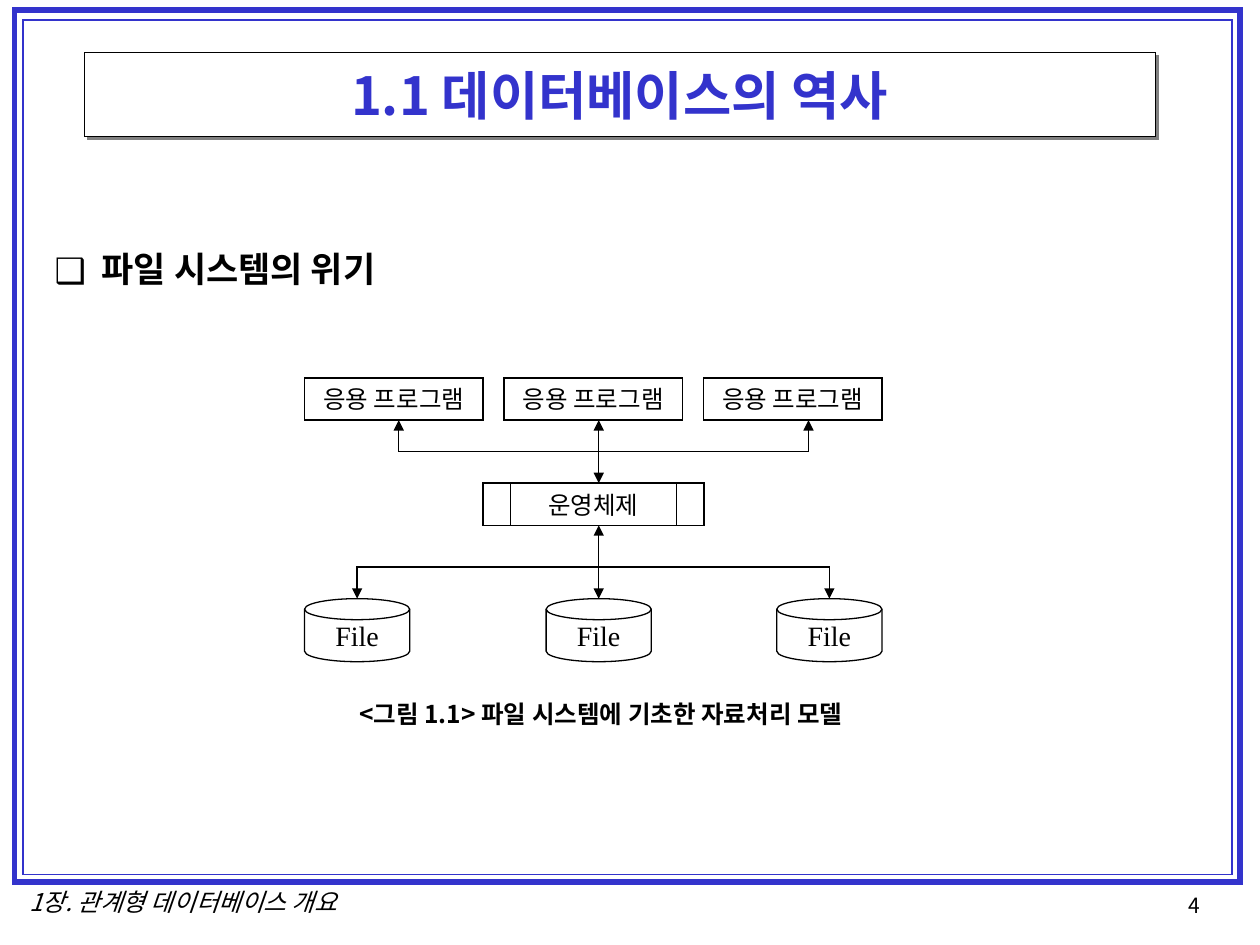
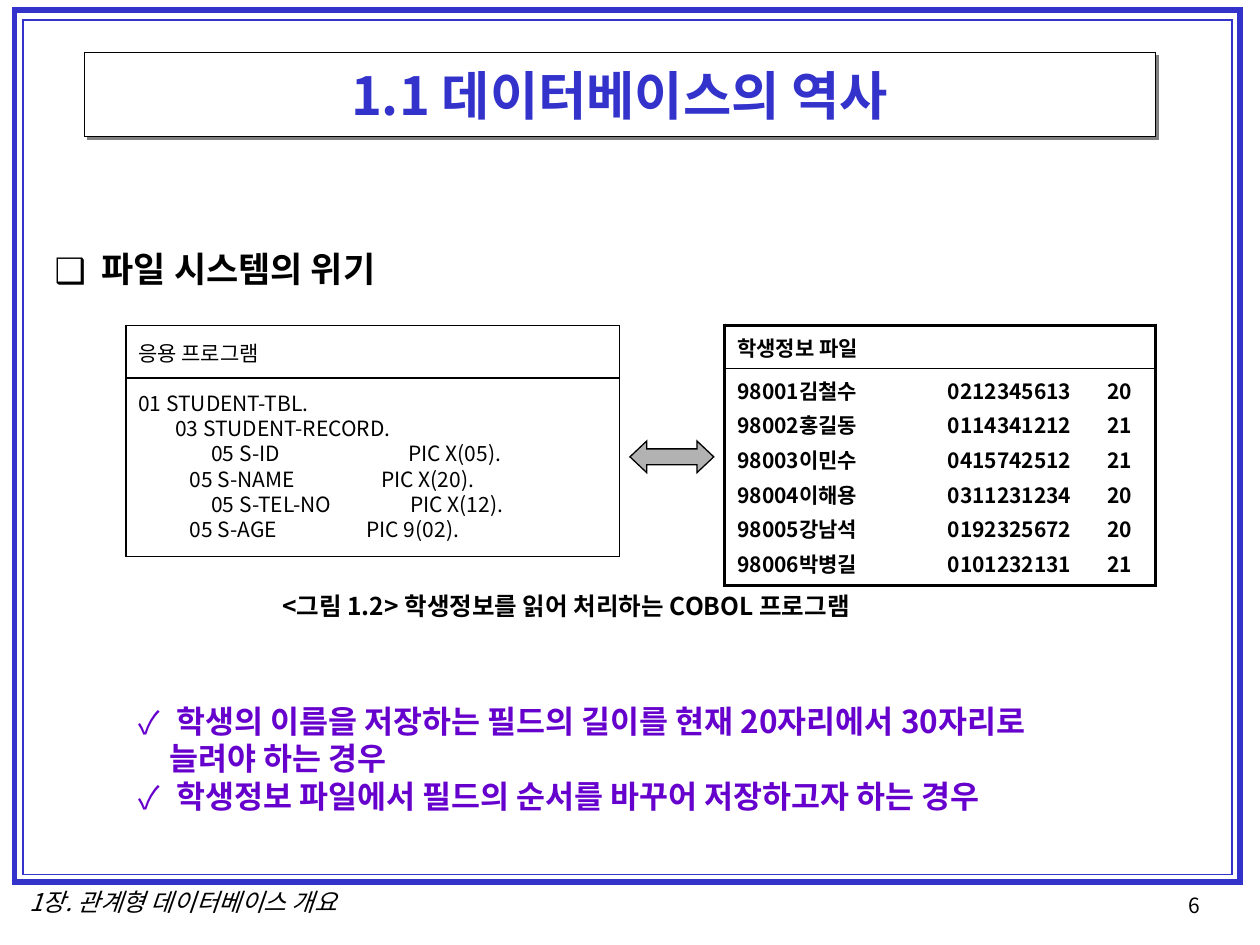
from dataclasses import dataclass

from lxml import etree
from pptx import Presentation
from pptx.dml.color import RGBColor
from pptx.enum import shapes, text
from pptx.oxml import ns
from pptx.util import Cm, Pt

BLACK = RGBColor(0x00, 0x00, 0x00)
WHITE = RGBColor(0xFF, 0xFF, 0xFF)
BLUE = RGBColor(0x33, 0x33, 0xCC)
VIOLET = RGBColor(0x66, 0x00, 0xCC)
GRAY = RGBColor(0xB2, 0xB2, 0xB2)
SHADOW = RGBColor(0x80, 0x80, 0x80)
SANS = "Noto Sans CJK KR"
SERIF = "Times New Roman"
LEFT, CENTER = text.PP_ALIGN.LEFT, text.PP_ALIGN.CENTER
MIDDLE = text.MSO_ANCHOR.MIDDLE
SHAPE = shapes.MSO_SHAPE


@dataclass(frozen=True)
class Box:
    x: float
    y: float
    w: float
    h: float

    def emu(self) -> tuple:
        return Cm(self.x), Cm(self.y), Cm(self.w), Cm(self.h)


@dataclass(frozen=True)
class CodeLine:
    words: str
    stops: tuple = ()


FRAMES = [(Box(0.3, 0.2, 24.7, 17.58), 3), (Box(0.46, 0.41, 24.38, 17.22), 1)]
TITLE = Box(1.7, 1.06, 21.59, 1.69)
BODY = Box(0.85, 4.87, 23.71, 12.27)
FOOTER = Box(0, 17.75, 7.39, 0.84)
PAGE = Box(23.7, 17.86, 1.12, 0.76)

APP_X, APP_STEP, APP_Y, APP_W, APP_H = 6.14, 4.02, 7.62, 3.6, 0.85
APP_BOTTOM = APP_Y + APP_H
OS = Box(9.74, 9.74, 4.45, 0.85)
DISK_XS, DISK_Y = (6.14, 11.01, 15.66), 12.07
MID_X = 12.07

CODE_BOX = Box(2.54, 6.56, 9.95, 4.66)
CODE = [
    CodeLine("01 STUDENT-TBL."),
    CodeLine("\t03 STUDENT-RECORD.", (0.74,)),
    CodeLine("\t05 S-ID\tPIC X(05).", (1.47, 5.44)),
    CodeLine("\t05 S-NAME\tPIC X(20).", (1.03, 4.9)),
    CodeLine("\t05 S-TEL-NO\tPIC X(12).", (1.47, 5.48)),
    CodeLine("\t05 S-AGE\tPIC 9(02).", (1.03, 4.6)),
]
STUDENTS = [
    ("98001김철수", "0212345613", "20"),
    ("98002홍길동", "0114341212", "21"),
    ("98003이민수", "0415742512", "21"),
    ("98004이해용", "0311231234", "20"),
    ("98005강남석", "0192325672", "20"),
    ("98006박병길", "0101232131", "21"),
]
CASES = [
    " 학생의 이름을 저장하는 필드의 길이를 현재 20자리에서 30자리로 늘려야 하는 경우",
    " 학생정보 파일에서 필드의 순서를 바꾸어 저장하고자 하는 경우",
]


def add_xml(parent, tag: str, **attrs):
    return etree.SubElement(parent, ns.qn(tag), {k: str(v) for k, v in attrs.items()})


def write(tf, words: str, size=14, font=SANS, color=BLACK, bold=False, italic=False,
          align=LEFT, leading=1.2, before=0, bullet="", indent=0, stops=()):
    p = tf.paragraphs[0] if not tf.text else tf.add_paragraph()
    p.alignment = align
    p.space_before = Pt(before)
    if leading:
        p.line_spacing = Pt(round(size * leading, 1))
    pPr = p._p.get_or_add_pPr()
    if bullet:
        pPr.set("marL", str(Cm(indent)))
        pPr.set("indent", str(-Cm(indent)))
        add_xml(pPr, "a:buFont", typeface=SANS)
        add_xml(pPr, "a:buChar", char=bullet)
    if stops:
        tabs = add_xml(pPr, "a:tabLst")
        for stop in stops:
            add_xml(tabs, "a:tab", pos=Cm(stop), algn="l")
    r = p.add_run()
    r.text = words
    r.font.name, r.font.size = font, Pt(size)
    r.font.bold, r.font.italic = bold, italic
    r.font.color.rgb = color
    add_xml(r._r.get_or_add_rPr(), "a:ea", typeface=SANS)


def add_text(s, box: Box, words: str, **fmt):
    tf = s.shapes.add_textbox(*box.emu()).text_frame
    tf.word_wrap = True
    write(tf, words, **fmt)
    return tf


def outline(sp, color=BLACK, width=0.75):
    sp.line.color.rgb = color
    sp.line.width = Pt(width)
    add_xml(sp.line._get_or_add_ln(), "a:miter", lim=800000)


def add_box(s, kind, box: Box, fill=None, color=BLACK, width=0.75):
    sp = s.shapes.add_shape(kind, *box.emu())
    sp.shadow.inherit = False
    if fill is None:
        sp.fill.background()
    else:
        sp.fill.solid()
        sp.fill.fore_color.rgb = fill
    outline(sp, color, width)
    sp.text_frame.word_wrap = True
    sp.text_frame.vertical_anchor = MIDDLE
    return sp


def add_label(s, kind, box: Box, words: str, fill=None, **fmt):
    sp = add_box(s, kind, box, fill)
    write(sp.text_frame, words, align=CENTER, **fmt)
    return sp


def add_arrowheads(sp):
    ln = sp.line._get_or_add_ln()
    for end in ("a:headEnd", "a:tailEnd"):
        add_xml(ln, end, type="triangle")


def add_line(s, x1, y1, x2, y2, arrows=False):
    cn = s.shapes.add_connector(shapes.MSO_CONNECTOR.STRAIGHT, Cm(x1), Cm(y1), Cm(x2), Cm(y2))
    outline(cn)
    if arrows:
        add_arrowheads(cn)
    add_xml(cn._element.spPr, "a:effectLst")


def add_bracket(s, x1, x2, y_tip, y_bar):
    builder = s.shapes.build_freeform(Cm(x1), Cm(y_tip))
    builder.add_line_segments(
        [(Cm(x1), Cm(y_bar)), (Cm(x2), Cm(y_bar)), (Cm(x2), Cm(y_tip))], close=False)
    sp = builder.convert_to_shape()
    sp.shadow.inherit = False
    sp.fill.background()
    outline(sp)
    add_arrowheads(sp)


def add_base(prs, page: str):
    s = prs.slides.add_slide(prs.slide_layouts[6])
    add_text(s, PAGE, page, size=12)
    add_text(s, FOOTER, "1장. 관계형 데이터베이스 개요", italic=True, align=CENTER)
    for box, width in FRAMES:
        add_box(s, SHAPE.RECTANGLE, box, color=BLUE, width=width)
    sp = add_label(s, SHAPE.RECTANGLE, TITLE, "1.1 데이터베이스의 역사", WHITE,
                   size=30, color=BLUE, bold=True)
    effects = sp._element.spPr.find(ns.qn("a:effectLst"))
    shadow = add_xml(effects, "a:outerShdw", dist=Pt(2.8), dir=45 * 60000,
                     algn="ctr", rotWithShape=0)
    add_xml(shadow, "a:srgbClr", val=SHADOW)
    add_text(s, BODY, "파일 시스템의 위기", size=20, bold=True, before=4,
             bullet="❑", indent=0.95)
    return s


def set_borders(cell, **widths):
    tcPr = cell._tc.get_or_add_tcPr()
    for i, side in enumerate("LRTB"):
        width = widths.get(side, 0)
        ln = etree.Element(ns.qn(f"a:ln{side}"), w=str(Pt(width)))
        if width:
            add_xml(add_xml(ln, "a:solidFill"), "a:srgbClr", val=BLACK)
        else:
            add_xml(ln, "a:noFill")
        tcPr.insert(i, ln)


def add_student_table(s):
    cols, rows = (4.24, 3.22, 1.22), (0.87, 4.37)
    box = Box(14.61, 6.56, sum(cols), sum(rows))
    tbl = s.shapes.add_table(len(rows), len(cols), *box.emu()).table
    tbl.first_row = tbl.horz_banding = False
    for col, width in zip(tbl.columns, cols):
        col.width = Cm(width)
    for row, height in zip(tbl.rows, rows):
        row.height = Cm(height)
    last = len(cols) - 1
    tbl.cell(0, 0).merge(tbl.cell(0, last))
    for i in range(len(rows)):
        for j in range(len(cols)):
            cell = tbl.cell(i, j)
            cell.fill.background()
            at_right = j == last or cell.is_merge_origin
            set_borders(cell, L=0 if j else 2.25, R=2.25 if at_right else 0,
                        T=1 if i else 2.25, B=2.25 if i else 1)
    fmt = dict(size=12, bold=True, leading=None, before=2.4)
    write(tbl.cell(0, 0).text_frame, "학생정보 파일", **fmt)
    for student in STUDENTS:
        for j, value in enumerate(student):
            write(tbl.cell(1, j).text_frame, value, **fmt)


def build_model_slide(prs):
    s = add_base(prs, "4")
    for i in range(3):
        add_label(s, SHAPE.RECTANGLE, Box(APP_X + i * APP_STEP, APP_Y, APP_W, APP_H),
                  "응용 프로그램", WHITE, font=SERIF)
    add_label(s, SHAPE.FLOWCHART_PREDEFINED_PROCESS, OS, "운영체제", font=SERIF)
    for x in DISK_XS:
        add_label(s, SHAPE.FLOWCHART_MAGNETIC_DISK, Box(x, DISK_Y, 2.12, 1.27),
                  "File", size=16, font=SERIF)
    add_bracket(s, 8.04, 16.3, APP_BOTTOM, 9.1)
    add_bracket(s, 7.2, 16.72, DISK_Y, 11.43)
    add_line(s, MID_X, OS.y + OS.h, MID_X, DISK_Y, arrows=True)
    add_line(s, MID_X, APP_BOTTOM, MID_X, OS.y, arrows=True)
    add_text(s, Box(6.99, 13.97, 11.1, 0.84),
             "<그림 1.1> 파일 시스템에 기초한 자료처리 모델", bold=True)


def build_cobol_slide(prs):
    s = add_base(prs, "6")
    tf = add_box(s, SHAPE.RECTANGLE, CODE_BOX).text_frame
    write(tf, "응용 프로그램", size=12)
    for i, line in enumerate(CODE):
        write(tf, line.words, size=12, stops=line.stops, before=0 if i else 14.4)
    add_line(s, CODE_BOX.x, 7.62, CODE_BOX.x + CODE_BOX.w, 7.62)
    add_student_table(s)
    arrow = add_box(s, SHAPE.LEFT_RIGHT_ARROW, Box(12.7, 8.89, 1.69, 0.64), GRAY)
    arrow.adjustments[0], arrow.adjustments[1] = 0.5, 0.53
    add_text(s, Box(5.44, 11.79, 12.75, 0.84),
             "<그림 1.2> 학생정보를 읽어 처리하는 COBOL 프로그램", bold=True)
    fmt = dict(size=18, color=VIOLET, bold=True, bullet="✓", indent=0.62)
    tf = add_text(s, Box(2.54, 14.02, 20.11, 3.12), CASES[0], **fmt)
    write(tf, CASES[1], **fmt)


def main():
    prs = Presentation()
    prs.slide_width, prs.slide_height = Cm(25.4), Cm(19.05)
    build_model_slide(prs)
    build_cobol_slide(prs)
    prs.save("out.pptx")


if __name__ == "__main__":
    main()
